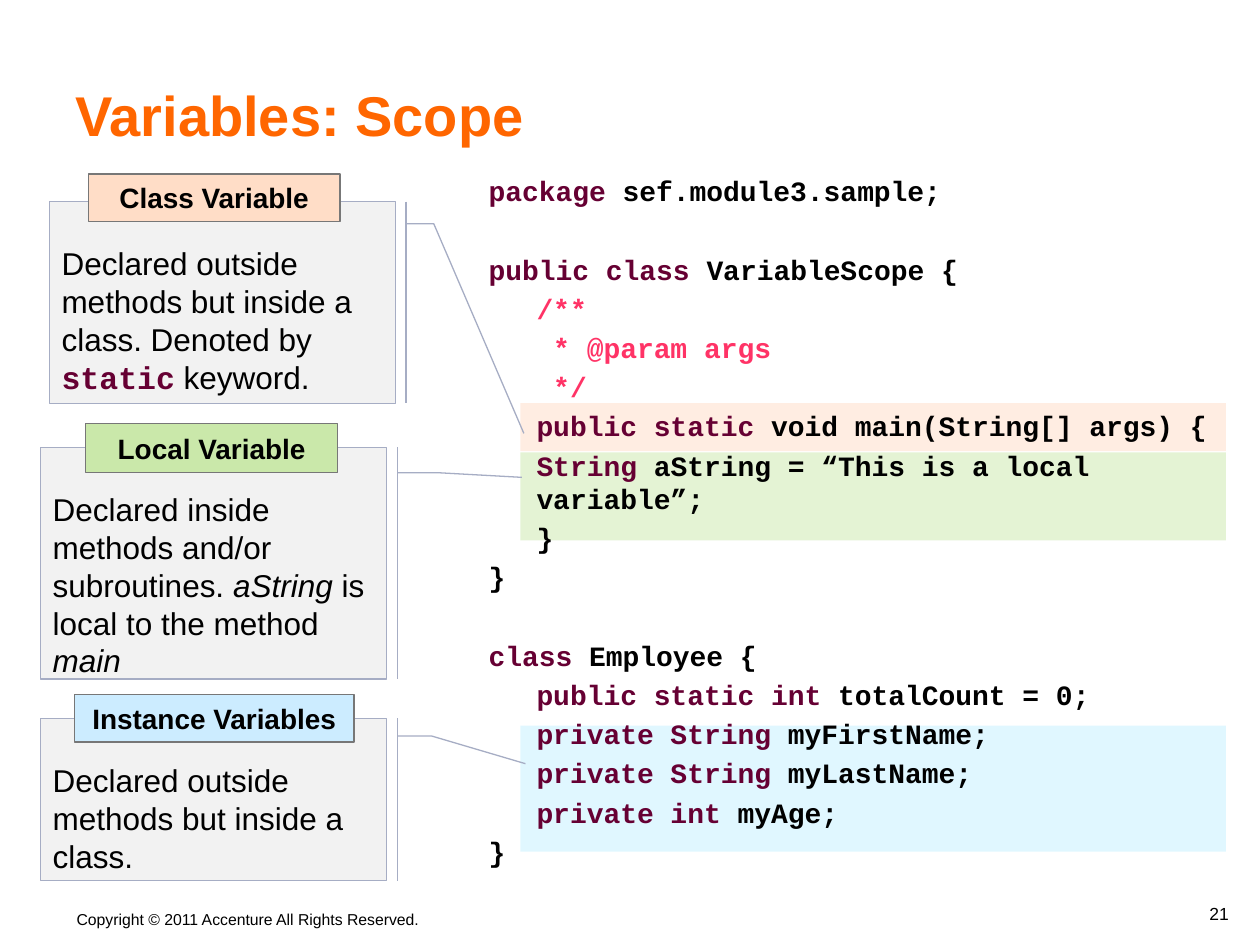
"""Build the slide on variable scope: three callouts beside a code sample."""
from lxml import etree
from pptx import Presentation
from pptx.dml.color import RGBColor
from pptx.enum.shapes import MSO_SHAPE
from pptx.enum.text import MSO_ANCHOR, PP_ALIGN
from pptx.oxml.ns import qn
from pptx.util import Inches, Pt

RECT = MSO_SHAPE.RECTANGLE
CALLOUT = MSO_SHAPE.LINE_CALLOUT_2_BORDER_AND_ACCENT_BAR
TOP, MIDDLE, BOTTOM = MSO_ANCHOR.TOP, MSO_ANCHOR.MIDDLE, MSO_ANCHOR.BOTTOM
LEFT, CENTER, RIGHT = PP_ALIGN.LEFT, PP_ALIGN.CENTER, PP_ALIGN.RIGHT
SANS, MONO = "Arial", "Courier New"
BLACK, PLUM, PINK, ORANGE = "000000", "660033", "FF3366", "FF6600"


def color(code):
    return RGBColor.from_string(code)


def write(para, parts, size):
    for text, font, code, bold, slant in parts:
        run = para.add_run()
        run.text = text
        run.font.size = Pt(size)
        run.font.name = font
        run.font.color.rgb = color(code)
        run.font.bold = bold
        run.font.italic = slant


prs = Presentation()
prs.slide_width, prs.slide_height = Inches(10), Inches(7.5)
slide = prs.slides.add_slide(prs.slide_layouts[6])
shapes = slide.shapes

bands = [(3.2, 0.38, "FFDDC7"), (3.59, 0.7, "CAE8AA"), (5.76, 1, "C2F0FF")]
for top, height, fill in bands:
    band = shapes.add_shape(RECT, Inches(4.13), Inches(top), Inches(5.6), Inches(height))
    band.shadow.inherit = False
    band.fill.solid()
    band.fill.fore_color.rgb = color(fill)
    band.line.fill.background()
    tint = band.fill._xPr.find(qn("a:solidFill"))[0]
    etree.SubElement(tint, qn("a:alpha")).set("val", "50000")

labels = [
    ("Copyright © 2011 Accenture All Rights Reserved.",
     (0.51, 7.17, 2.97, 0.25), 9, BLACK, False, LEFT, TOP, 1),
    ("21", (8, 7.08, 1.85, 0.3), 10, BLACK, False, RIGHT, BOTTOM, 0.8),
    ("Variables: Scope", (0.5, 0.22, 8.92, 1), 32, ORANGE, True, LEFT, BOTTOM, 1),
]
for text, place, size, code, bold, align, anchor, pitch in labels:
    box = shapes.add_textbox(*map(Inches, place))
    frame = box.text_frame
    frame.word_wrap = size > 9
    frame.vertical_anchor = anchor
    para = frame.paragraphs[0]
    para.alignment = align
    para.line_spacing = pitch
    write(para, [(text, SANS, code, bold, False)], size)

# Each line: indent level, blank line above, coloured parts
lines = [
    (0, 0, [("package", PLUM), (" sef.module3.sample;", BLACK)]),
    (0, 1, [("public class ", PLUM), ("VariableScope {", BLACK)]),
    (1, 0, [("/**", PINK)]),
    (1, 0, [(" * @param args", PINK)]),
    (1, 0, [(" */", PINK)]),
    (1, 0, [("public static", PLUM), (" void main(String[] args) {", BLACK)]),
    (1, 0, [("String ", PLUM), ("aString = “This is a local variable”;", BLACK)]),
    (1, 0, [("}", BLACK)]),
    (0, 0, [("}", BLACK)]),
    (0, 1, [("class", PLUM), (" Employee {", BLACK)]),
    (1, 0, [("public static int ", PLUM), ("totalCount = 0;", BLACK)]),
    (1, 0, [("private String ", PLUM), ("myFirstName;", BLACK)]),
    (1, 0, [("private String ", PLUM), ("myLastName;", BLACK)]),
    (1, 0, [("private int ", PLUM), ("myAge;", BLACK)]),
    (0, 0, [("}", BLACK)]),
]
frame = shapes.add_textbox(Inches(3.78), Inches(1.33), Inches(6.01), Inches(5.33)).text_frame
frame.word_wrap = True
for row, (level, gap, parts) in enumerate(lines):
    para = frame.add_paragraph() if row else frame.paragraphs[0]
    para._p.get_or_add_pPr().set("marL", str(Inches(0.38 * level)))
    if row:
        para.space_before = Pt(3.2 + 22.4 * gap)
    write(para, [(text, MONO, code, True, False) for text, code in parts], 16)

plain = (SANS, BLACK, False, False)
slant = (SANS, BLACK, False, True)
notes = [
    ((0.39, 1.6, 2.75, 1.6), (1.11, 1.15, 1.37),
     [("Declared outside methods but inside a class. Denoted by ", *plain),
      ("static", MONO, PLUM, True, False), (" keyword.", *plain)],
     "Class Variable", (0.7, 1.38, 2, 0.38), "FFDDC7"),
    ((0.32, 5.7, 2.75, 1.29), (1.13, 0.28, 1.4),
     [("Declared outside methods but inside a class.", *plain)],
     "Instance Variables", (0.59, 5.51, 2.22, 0.38), "CCECFF"),
    ((0.32, 3.55, 2.75, 1.84), (1.15, 0.13, 1.39),
     [("Declared inside methods and/or subroutines. ", *plain), ("aString ", *slant),
      ("is local to the method ", *plain), ("main", *slant)],
     "Local Variable", (0.68, 3.36, 2, 0.39), "CAE8AA"),
]
for place, (bend, drop, reach), body, name, spot, tone in notes:
    parts = [
        (CALLOUT, place, "F2F2F2", "A6ADC4", body, 18, LEFT, TOP, 0.34),
        (RECT, spot, tone, "777777", [(name, SANS, BLACK, True, False)],
         16, CENTER, MIDDLE, 0.05),
    ]
    for kind, area, fill, edge, words, size, align, anchor, inset in parts:
        shape = shapes.add_shape(kind, *map(Inches, area))
        shape.shadow.inherit = False
        shape.fill.solid()
        shape.fill.fore_color.rgb = color(fill)
        shape.line.color.rgb = color(edge)
        shape.line.width = Pt(0.75)
        if kind == CALLOUT:
            for pos, value in enumerate((0.11, 1.03, 0.11, bend, drop, reach)):
                shape.adjustments[pos] = value
        frame = shape.text_frame
        frame.word_wrap = True
        frame.margin_top = Inches(inset)
        frame.vertical_anchor = anchor
        para = frame.paragraphs[0]
        para.alignment = align
        write(para, words, size)

prs.save("out.pptx")
